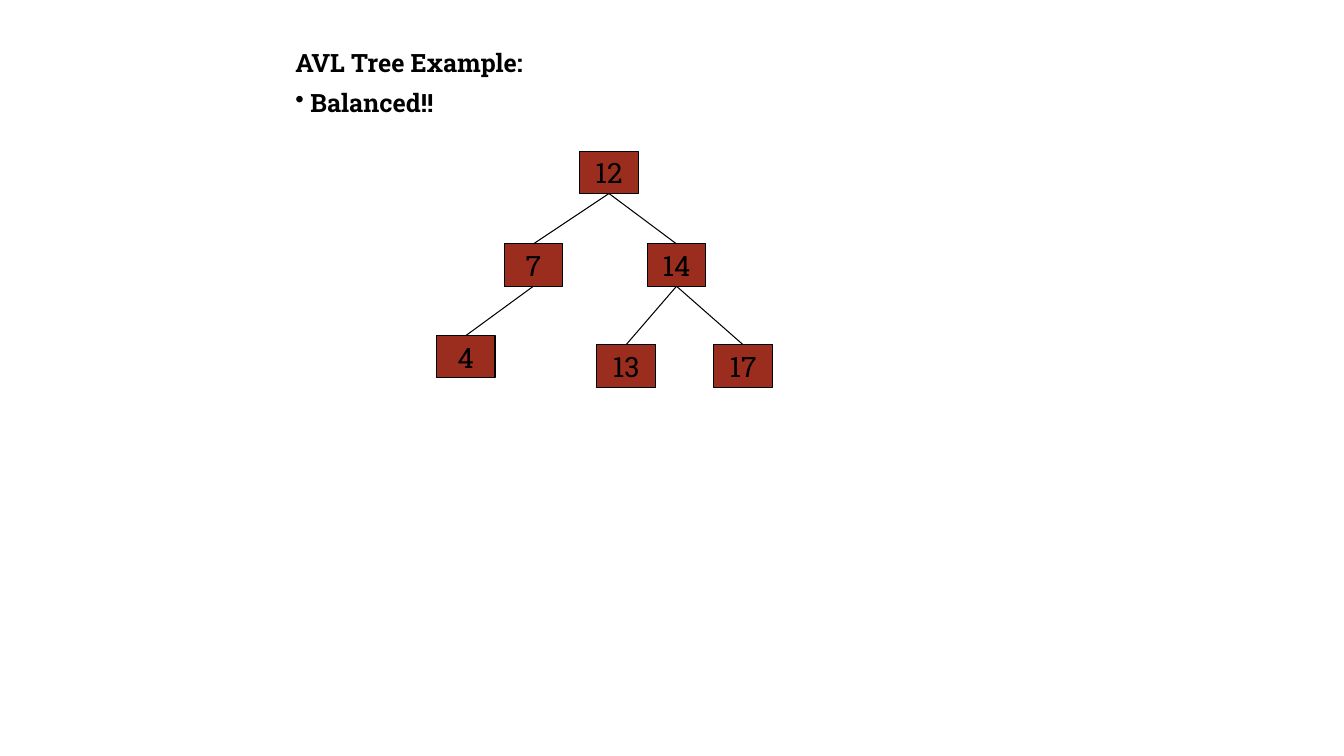
"""Build a slide that shows a balanced AVL tree."""
from dataclasses import dataclass

from lxml import etree
from pptx import Presentation
from pptx.dml.color import RGBColor
from pptx.enum.shapes import MSO_CONNECTOR, MSO_SHAPE
from pptx.enum.text import MSO_ANCHOR, PP_ALIGN
from pptx.oxml.ns import qn
from pptx.shapes.autoshape import Shape
from pptx.slide import Slide
from pptx.text.text import _Paragraph
from pptx.util import Inches, Pt

RECTANGLE = MSO_SHAPE.RECTANGLE
STRAIGHT = MSO_CONNECTOR.STRAIGHT
MIDDLE = MSO_ANCHOR.MIDDLE
CENTER = PP_ALIGN.CENTER
TOP_SIDE, BOTTOM_SIDE = 0, 2

FONT = "Roboto Slab"
COLORS = {"node": "9B2D1F", "ink": "000000"}
NODE_WIDTH, NODE_HEIGHT = 0.58, 0.42
LINE_WIDTH = 0.75
BULLET_INDENT = 0.15


@dataclass(frozen=True)
class Node:
    key: int
    left: float
    top: float
    parent: int | None = None


TREE = [
    Node(12, 5.75, 1.5),
    Node(7, 5, 2.42, 12),
    Node(14, 6.42, 2.42, 12),
    Node(4, 4.33, 3.33, 7),
    Node(13, 5.92, 3.42, 14),
    Node(17, 7.08, 3.42, 14),
]


def color(name: str) -> RGBColor:
    return RGBColor.from_string(COLORS[name])


def format_runs(paragraph: _Paragraph, size: float, bold: bool = False) -> None:
    for run in paragraph.runs:
        run.font.name = FONT
        run.font.size = Pt(size)
        run.font.bold = bold
        run.font.color.rgb = color("ink")


def add_bullet(paragraph: _Paragraph) -> None:
    properties = paragraph._p.get_or_add_pPr()
    properties.set("marL", str(Inches(BULLET_INDENT)))
    properties.set("indent", str(-Inches(BULLET_INDENT)))
    etree.SubElement(properties, qn("a:buChar")).set("char", "•")


def add_heading(slide: Slide) -> None:
    text_box = slide.shapes.add_textbox(
        Inches(2.83), Inches(0.42), Inches(8.42), Inches(0.85)
    )
    text_frame = text_box.text_frame
    text_frame.word_wrap = True
    text_frame.text = "AVL Tree Example:\nBalanced!!"
    title, remark = text_frame.paragraphs
    remark.space_before = Pt(7)
    add_bullet(remark)
    for paragraph in (title, remark):
        format_runs(paragraph, 18, bold=True)


def add_node(slide: Slide, node: Node) -> Shape:
    shape = slide.shapes.add_shape(
        RECTANGLE,
        Inches(node.left),
        Inches(node.top),
        Inches(NODE_WIDTH),
        Inches(NODE_HEIGHT),
    )
    shape.shadow.inherit = False
    shape.fill.solid()
    shape.fill.fore_color.rgb = color("node")
    shape.line.color.rgb = color("ink")
    shape.line.width = Pt(LINE_WIDTH)
    text_frame = shape.text_frame
    text_frame.word_wrap = False
    text_frame.vertical_anchor = MIDDLE
    text_frame.text = str(node.key)
    paragraph = text_frame.paragraphs[0]
    paragraph.alignment = CENTER
    format_runs(paragraph, 20)
    return shape


def add_edge(slide: Slide, parent: Shape, child: Shape) -> None:
    connector = slide.shapes.add_connector(STRAIGHT, 0, 0, 0, 0)
    connector.begin_connect(parent, BOTTOM_SIDE)
    connector.end_connect(child, TOP_SIDE)
    connector.line.color.rgb = color("ink")
    connector.line.width = Pt(LINE_WIDTH)
    etree.SubElement(connector._element.spPr, qn("a:effectLst"))


def main() -> None:
    presentation = Presentation()
    presentation.slide_width = Inches(13.33)
    presentation.slide_height = Inches(7.5)
    slide = presentation.slides.add_slide(presentation.slide_layouts[6])
    add_heading(slide)
    shapes = {node.key: add_node(slide, node) for node in TREE}
    for node in TREE:
        if node.parent is not None:
            add_edge(slide, shapes[node.parent], shapes[node.key])
    presentation.save("out.pptx")


if __name__ == "__main__":
    main()
